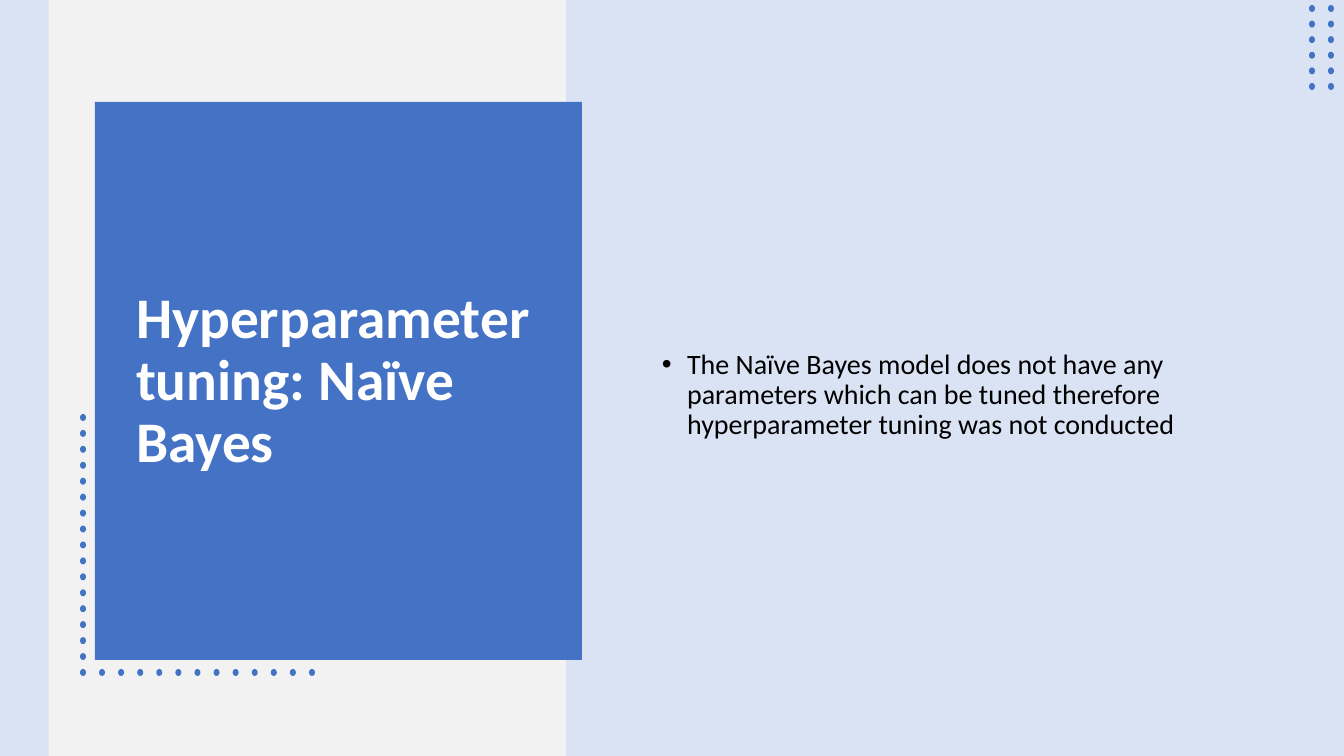
from lxml.etree import SubElement
from pptx import Presentation
from pptx.dml.color import RGBColor
from pptx.enum.shapes import MSO_SHAPE
from pptx.enum.text import MSO_ANCHOR, MSO_AUTO_SIZE, PP_ALIGN
from pptx.oxml.ns import qn
from pptx.util import Pt

SLIDE_WIDTH, SLIDE_HEIGHT = 1344, 756
SCALE = 12192000 / SLIDE_WIDTH
DOT_WIDTH, DOT_HEIGHT = 6, 7
BLUE, PALE_BLUE, GREY, WHITE, BLACK = "4472C4", "DAE3F3", "F2F2F2", "FFFFFF", "000000"


def px(length):
    return round(length * SCALE)


def color(hex_value):
    return RGBColor.from_string(hex_value)


def add_filled(shapes, kind, box, fill):
    shape = shapes.add_shape(kind, *map(px, box))
    shape.shadow.inherit = False
    shape.fill.solid()
    shape.fill.fore_color.rgb = color(fill)
    shape.line.fill.background()


def add_dots(shapes, box, columns, rows):
    """Spread dots evenly so that the outer ones touch the edges of the box."""
    left, top, width, height = box
    step_x = (width - DOT_WIDTH) / max(columns - 1, 1)
    step_y = (height - DOT_HEIGHT) / max(rows - 1, 1)
    for row in range(rows):
        for column in range(columns):
            dot = (left + column * step_x, top + row * step_y, DOT_WIDTH, DOT_HEIGHT)
            add_filled(shapes, MSO_SHAPE.OVAL, dot, BLUE)


def write_text(shape, text, font, hex_value):
    """Write one left-aligned, vertically centred paragraph and return it."""
    frame = shape.text_frame
    frame_format = {"word_wrap": True, "auto_size": MSO_AUTO_SIZE.NONE,
                    "vertical_anchor": MSO_ANCHOR.MIDDLE}
    para = frame.paragraphs[0]
    span = para.add_run()
    span.text = text
    para_format = {"alignment": PP_ALIGN.LEFT, "line_spacing": 0.9}
    for target, values in ((frame, frame_format), (para, para_format), (span.font, font)):
        for name, value in values.items():
            setattr(target, name, value)
    span.font.color.rgb = color(hex_value)
    return para


def add_title_card(slide, box):
    left, top, width, height = box
    add_filled(slide.shapes, MSO_SHAPE.RECTANGLE, box, BLUE)
    dots = slide.shapes.add_group_shape().shapes
    add_dots(dots, (left - 15, top + 312, DOT_WIDTH, 262), 1, 17)
    add_dots(dots, (left + 4, top + 567, 216, DOT_HEIGHT), 12, 1)

    title = slide.shapes.title
    slide.shapes._spTree.append(title._element)  # brings the title in front of the card
    title.left, title.top = px(left + 31), px(top + 44)
    title.width, title.height = px(width - 70), px(height - 86)
    write_text(title, "Hyperparameter tuning: Naïve Bayes",
               {"name": "Calibri", "size": Pt(41), "bold": True}, WHITE)


def add_body(slide, box):
    body = slide.shapes.add_textbox(*map(px, box))
    para = write_text(
        body,
        "The Naïve Bayes model does not have any parameters which can be tuned "
        "therefore hyperparameter tuning was not conducted",
        {"name": "Calibri", "size": Pt(20)}, BLACK)
    para.space_before = Pt(10)
    properties = para._p.get_or_add_pPr()
    properties.set("marL", str(Pt(18)))
    properties.set("indent", str(-Pt(18)))
    SubElement(properties, qn("a:buFont"), typeface="Arial")
    SubElement(properties, qn("a:buChar"), char="•")


def main():
    deck = Presentation()
    deck.slide_width, deck.slide_height = px(SLIDE_WIDTH), px(SLIDE_HEIGHT)
    slide = deck.slides.add_slide(deck.slide_layouts.get_by_name("Title Only"))
    slide.background.fill.solid()
    slide.background.fill.fore_color.rgb = color(PALE_BLUE)

    add_filled(slide.shapes, MSO_SHAPE.RECTANGLE, (49, 0, 517, SLIDE_HEIGHT), GREY)
    add_title_card(slide, (95, 102, 487, 558))
    add_dots(slide.shapes.add_group_shape().shapes, (1309, 5, 25, 85), 2, 6)
    add_body(slide, (652, 131, 613, 529))
    deck.save("out.pptx")


if __name__ == "__main__":
    main()
